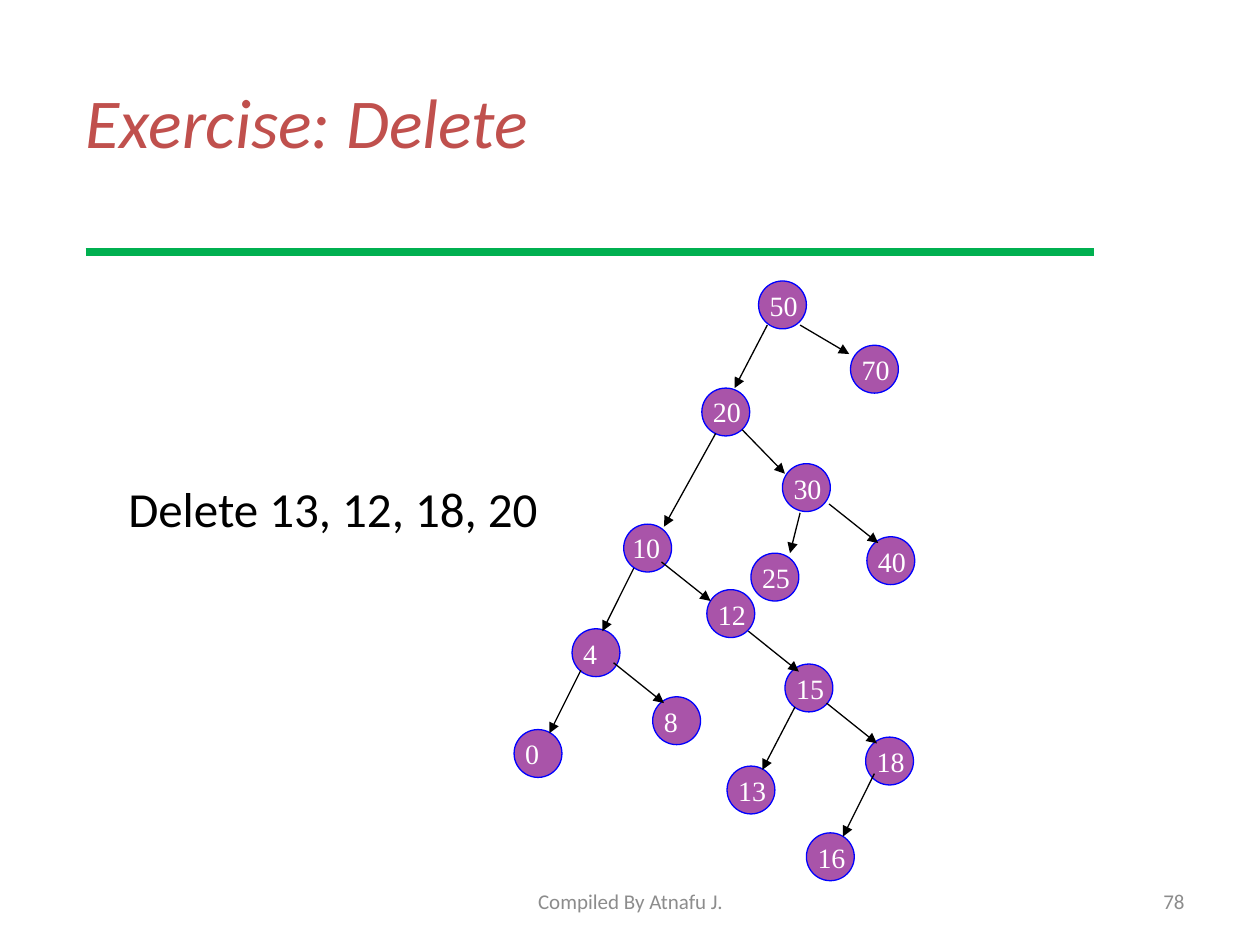
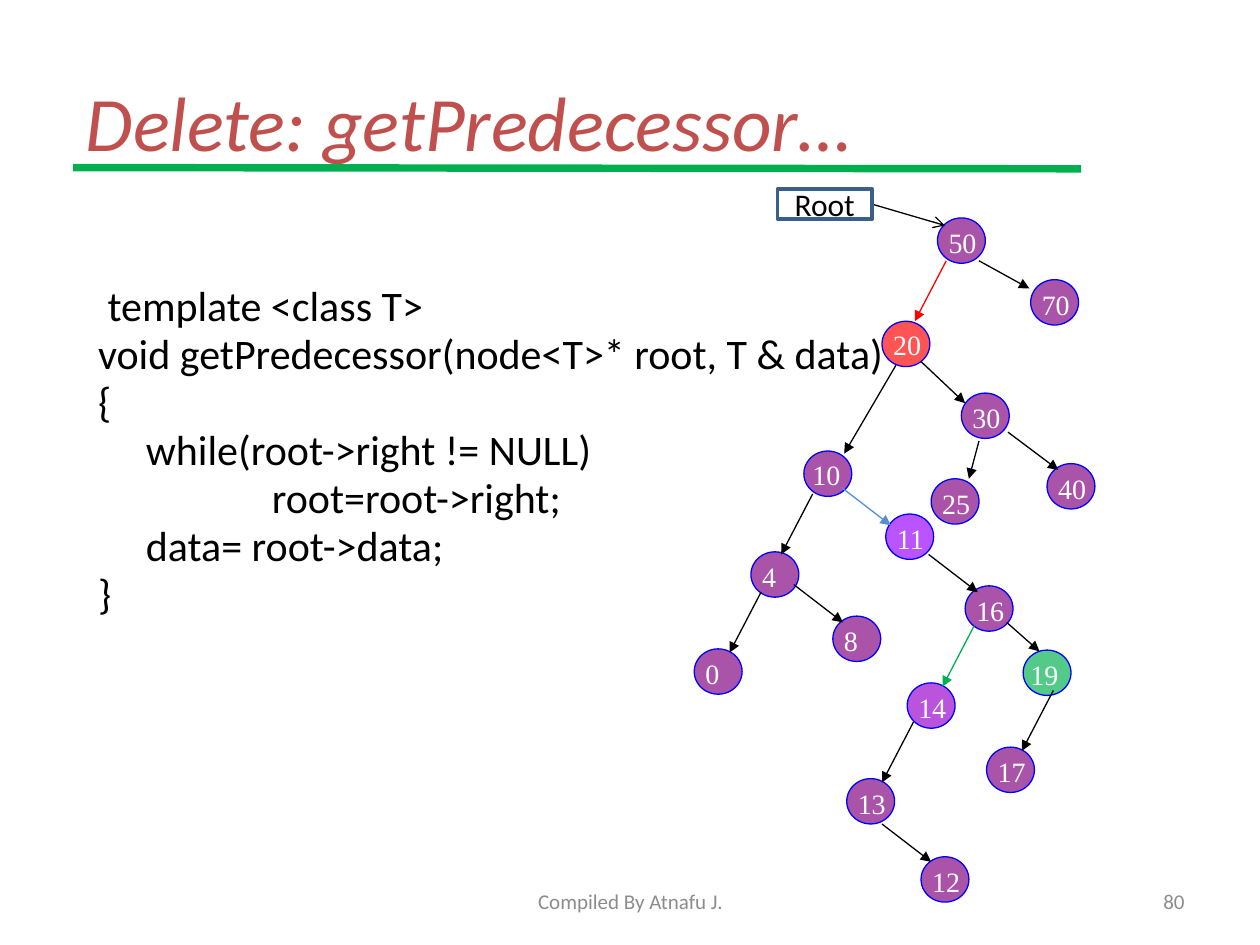
"""Build two lecture slides about deleting nodes from a binary search tree."""
from dataclasses import dataclass

from lxml.etree import SubElement
from pptx import Presentation
from pptx.dml.color import RGBColor
from pptx.enum.shapes import MSO_CONNECTOR, MSO_SHAPE
from pptx.enum.text import MSO_ANCHOR, PP_ALIGN
from pptx.oxml.ns import qn
from pptx.util import Inches, Pt

PURPLE, RED, GREEN, BLUE = "800080", "FF0000", "00B050", "558ED5"
VIOLET, ORCHID, OUTLINE = "9900FF", "9900CC", "0000FF"
BLACK, WHITE, GRAY, TITLE, FRAME = "000000", "FFFFFF", "8C8C8C", "C0504D", "3A5F8C"
NODE_WIDTH, LABEL_WIDTH = 0.38, 0.5


@dataclass(frozen=True)
class TextStyle:
    size: float
    color: str = BLACK
    font: str = "Calibri"
    italic: bool = False
    align: PP_ALIGN = PP_ALIGN.LEFT
    anchor: MSO_ANCHOR = MSO_ANCHOR.TOP


@dataclass(frozen=True)
class Node:
    value: int
    left: float
    top: float
    fill: str = PURPLE
    label_dx: float = -0.01
    label_dy: float = 0.01


@dataclass(frozen=True)
class Edge:
    x1: float
    y1: float
    x2: float
    y2: float
    color: str = BLACK
    head: str = "triangle"
    width: float = 0.75


@dataclass(frozen=True)
class CodeLine:
    text: str
    indent: float = 0


BODY = TextStyle(28)
CODE = TextStyle(24)
NODE_LABEL = TextStyle(16, WHITE, "Times New Roman")
ROOT_LABEL = TextStyle(18, align=PP_ALIGN.CENTER, anchor=MSO_ANCHOR.MIDDLE)
FOOTER = TextStyle(12, GRAY, align=PP_ALIGN.CENTER, anchor=MSO_ANCHOR.MIDDLE)
PAGE_NUMBER = TextStyle(12, GRAY, align=PP_ALIGN.RIGHT, anchor=MSO_ANCHOR.MIDDLE)

EXERCISE_NODES = [
    Node(20, 5.57, 3.08, label_dy=0), Node(50, 6.02, 2.23),
    Node(10, 4.95, 4.16, label_dx=-0.03, label_dy=0),
    Node(4, 4.54, 4.99), Node(8, 5.18, 5.53), Node(30, 6.21, 3.68),
    Node(0, 4.08, 5.79), Node(12, 5.61, 4.68), Node(15, 6.23, 5.27),
    Node(18, 6.87, 5.85), Node(13, 5.77, 6.08), Node(16, 6.4, 6.61),
    Node(40, 6.88, 4.26), Node(25, 5.96, 4.39), Node(70, 6.75, 2.74),
]
EXERCISE_EDGES = [
    Edge(5.03, 4.51, 4.78, 5.01), Edge(5.68, 3.44, 5.27, 4.18),
    Edge(4.61, 5.32, 4.36, 5.82), Edge(5.89, 3.41, 6.23, 3.76),
    Edge(5.25, 4.46, 5.64, 4.77), Edge(4.87, 5.26, 5.27, 5.58),
    Edge(6.31, 5.61, 6.05, 6.11), Edge(6.56, 5.58, 6.96, 5.9),
    Edge(5.94, 5.01, 6.34, 5.33), Edge(6.94, 6.14, 6.69, 6.64),
    Edge(6.58, 4, 6.97, 4.31), Edge(6.35, 4.07, 6.27, 4.39),
    Edge(6.35, 2.58, 6.74, 2.81), Edge(6.09, 2.58, 5.83, 3.08),
]
PREDECESSOR_NODES = [
    Node(20, 7, 2.55, RED, label_dy=0), Node(50, 7.44, 1.73),
    Node(10, 6.38, 3.58, label_dx=-0.03, label_dy=0),
    Node(4, 5.96, 4.38), Node(8, 6.61, 4.89), Node(30, 7.63, 3.12),
    Node(0, 5.51, 5.15), Node(11, 7.03, 4.08, VIOLET), Node(16, 7.66, 4.65),
    Node(14, 7.2, 5.42, ORCHID), Node(17, 7.83, 5.93), Node(40, 8.31, 3.68),
    Node(25, 7.39, 3.8), Node(70, 8.18, 2.22), Node(13, 6.72, 6.18),
    Node(19, 8.12, 5.16, GREEN, label_dx=-0.04), Node(12, 7.31, 6.8),
]
PREDECESSOR_EDGES = [
    Edge(6.45, 3.92, 6.2, 4.4), Edge(7.11, 2.9, 6.7, 3.6),
    Edge(6.04, 4.7, 5.79, 5.18), Edge(7.31, 2.87, 7.66, 3.2),
    Edge(6.68, 3.87, 7.07, 4.17, BLUE), Edge(6.3, 4.64, 6.69, 4.94),
    Edge(7.73, 4.97, 7.48, 5.45, GREEN), Edge(7.99, 4.94, 8.25, 5.17),
    Edge(7.37, 4.4, 7.76, 4.7), Edge(8.36, 5.48, 8.11, 5.96),
    Edge(8, 3.43, 8.4, 3.73), Edge(7.77, 3.5, 7.69, 3.8),
    Edge(7.77, 2.07, 8.17, 2.29), Edge(7.51, 2.07, 7.26, 2.55, RED),
    Edge(7.25, 5.73, 7, 6.21), Edge(7, 6.54, 7.39, 6.84),
    Edge(6.92, 1.62, 7.5, 1.79, head="arrow"),
]
CODE_LINES = [
    CodeLine(" template <class T>"),
    CodeLine("void getPredecessor(node<T>* root, T & data)"),
    CodeLine("{"),
    CodeLine("while(root->right != NULL)", 0.38),
    CodeLine("root=root->right;", 1.38),
    CodeLine("data= root->data;", 0.38),
    CodeLine("}"),
]


def rgb(color: str) -> RGBColor:
    return RGBColor.from_string(color)


def apply(target, values: dict) -> None:
    for name, value in values.items():
        setattr(target, name, value)


def place(shape, left: float, top: float, width: float, height: float) -> None:
    apply(shape, {"left": Inches(left), "top": Inches(top),
                  "width": Inches(width), "height": Inches(height)})


def write(shape, text: str, style: TextStyle) -> None:
    frame = shape.text_frame
    apply(frame, {"text": text, "word_wrap": True, "vertical_anchor": style.anchor})
    for para in frame.paragraphs:
        para.alignment = style.align
        for span in para.runs:
            apply(span.font, {"size": Pt(style.size), "name": style.font, "italic": style.italic})
            span.font.color.rgb = rgb(style.color)


def add_text(page, text: str, style: TextStyle, left: float, top: float,
             width: float, height: float):
    box = page.shapes.add_textbox(Inches(left), Inches(top), Inches(width), Inches(height))
    write(box, text, style)
    return box


def add_outlined(page, kind: MSO_SHAPE, area: tuple, color: str, width: float):
    shape = page.shapes.add_shape(kind, *map(Inches, area))
    shape.shadow.inherit = False
    shape.line.color.rgb = rgb(color)
    shape.line.width = Pt(width)
    return shape


def add_line(page, edge: Edge) -> None:
    ends = map(Inches, (edge.x1, edge.y1, edge.x2, edge.y2))
    connector = page.shapes.add_connector(MSO_CONNECTOR.STRAIGHT, *ends)
    connector.line.color.rgb = rgb(edge.color)
    connector.line.width = Pt(edge.width)
    properties = connector._element.spPr
    if edge.head:
        SubElement(properties.find(qn("a:ln")), qn("a:tailEnd"), type=edge.head)
    SubElement(properties, qn("a:effectLst"))


def add_node(page, node: Node, height: float) -> None:
    circle = add_outlined(page, MSO_SHAPE.OVAL, (node.left, node.top, NODE_WIDTH, height),
                          OUTLINE, 0.75)
    circle.fill.solid()
    circle.fill.fore_color.rgb = rgb(node.fill)
    fill = circle._element.spPr.find(qn("a:solidFill"))
    SubElement(fill[0], qn("a:alpha"), val="67000")
    add_text(page, str(node.value), NODE_LABEL, node.left + node.label_dx,
             node.top + node.label_dy, LABEL_WIDTH, height)


def add_tree(page, nodes: list[Node], edges: list[Edge], height: float) -> None:
    for node in nodes:
        add_node(page, node, height)
    for edge in edges:
        add_line(page, edge)


def add_code(page, lines: list[CodeLine]) -> None:
    box = add_text(page, "\n".join(line.text for line in lines), CODE, 0.68, 2.25, 8.5, 4.75)
    for index, (para, line) in enumerate(zip(box.text_frame.paragraphs, lines)):
        apply(para, {"line_spacing": 0.8, "space_before": Pt(4.3 if index else 0)})
        para._p.get_or_add_pPr().set("marL", str(Inches(line.indent)))


def add_page(deck, title: str, title_size: float, number: int, rule: Edge):
    page = deck.slides.add_slide(deck.slide_layouts[5])
    place(page.shapes.title, 0.58, 0.33, 9, 1.25)
    write(page.shapes.title, title,
          TextStyle(title_size, TITLE, italic=True, anchor=MSO_ANCHOR.MIDDLE))
    add_line(page, rule)
    add_text(page, "Compiled By Atnafu J.", FOOTER, 3.42, 6.95, 3.17, 0.4)
    add_text(page, str(number), PAGE_NUMBER, 7.17, 6.95, 2.33, 0.4)
    return page


def main() -> None:
    deck = Presentation()
    apply(deck, {"slide_width": Inches(10), "slide_height": Inches(7.5)})

    exercise = add_page(deck, "Exercise: Delete", 40, 78,
                        Edge(0.68, 2, 8.68, 2, GREEN, "", 4.25))
    add_tree(exercise, EXERCISE_NODES, EXERCISE_EDGES, 0.38)
    add_text(exercise, "Delete 13, 12, 18, 20", BODY, 0.92, 3.75, 3.5, 0.57)

    predecessor = add_page(deck, "Delete: getPredecessor…", 44, 80,
                           Edge(0.58, 1.33, 8.58, 1.34, GREEN, "", 4.25))
    add_code(predecessor, CODE_LINES)
    add_tree(predecessor, PREDECESSOR_NODES, PREDECESSOR_EDGES, 0.36)
    root = add_outlined(predecessor, MSO_SHAPE.RECTANGLE, (6.17, 1.5, 0.75, 0.24), FRAME, 2)
    root.fill.background()
    write(root, "Root", ROOT_LABEL)

    deck.save("out.pptx")


if __name__ == "__main__":
    main()
